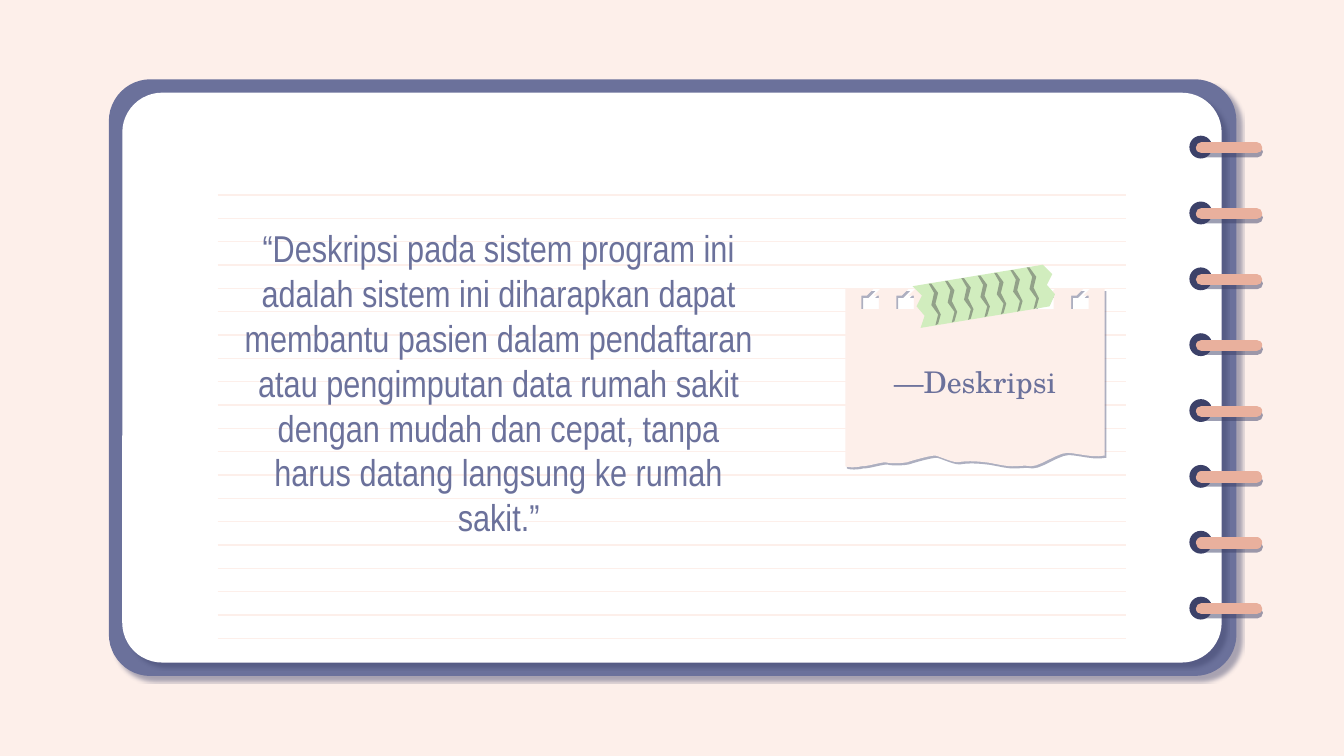
from lxml import etree
from pptx import Presentation
from pptx.dml.color import RGBColor
from pptx.enum.shapes import MSO_CONNECTOR, MSO_SHAPE
from pptx.enum.text import MSO_ANCHOR, PP_ALIGN
from pptx.oxml.ns import qn
from pptx.util import Inches, Pt

ROUND_RECT, OVAL = MSO_SHAPE.ROUNDED_RECTANGLE, MSO_SHAPE.OVAL
STRAIGHT = MSO_CONNECTOR.STRAIGHT
MIDDLE, CENTER = MSO_ANCHOR.MIDDLE, PP_ALIGN.CENTER

COLORS = {
    "blush": "FDEFEA", "cover": "6B719B", "page": "FFFFFF", "dark": "3C4169",
    "ring": "E9B09D", "tape": "D1EDBE", "stripe": "92A189", "text": "6B719B",
}
# Shadows: opacity %, blur pt, distance pt, direction in degrees
BOOK_SHADOW = (44, 1.1, 4.5, 44)
RING_SHADOW = (50, 0, 2.2, 80)
NOTE_SHADOW = (42, 0, 1.5, 54)

# Torn lower edge of the note: start, then cubic curves (control, control, end)
TEAR_START = (6.29, 3.47)
TEAR = [
    ((6.31, 3.48), (6.37, 3.48), (6.41, 3.47)),
    ((6.46, 3.47), (6.55, 3.44), (6.59, 3.44)),
    ((6.62, 3.45), (6.69, 3.45), (6.75, 3.44)),
    ((6.81, 3.42), (6.92, 3.39), (6.96, 3.39)),
    ((7.00, 3.40), (7.08, 3.44), (7.13, 3.44)),
    ((7.17, 3.43), (7.26, 3.43), (7.33, 3.44)),
    ((7.36, 3.44), (7.47, 3.47), (7.53, 3.47)),
    ((7.58, 3.47), (7.63, 3.46), (7.67, 3.47)),
    ((7.74, 3.47), (7.87, 3.37), (7.94, 3.37)),
    ((8.01, 3.37), (8.13, 3.41), (8.22, 3.39)),
]
TAPE = [(6.79, 2.13), (6.86, 2.2), (6.82, 2.28), (6.88, 2.35), (6.85, 2.44),
        (7.81, 2.28), (7.85, 2.19), (7.79, 2.12), (7.83, 2.04), (7.76, 1.97)]
STRIPE = [(6.91, 2.11), (6.95, 2.18), (6.93, 2.27), (6.98, 2.34), (6.96, 2.42),
          (6.98, 2.41), (7, 2.34), (6.96, 2.26), (6.98, 2.18), (6.93, 2.11)]


def rgb(name):
    return RGBColor.from_string(COLORS[name])


def curve_points(start, curves, steps=6):
    """Sample a chain of cubic curves as points."""
    points = [start]
    for c1, c2, end in curves:
        p0 = points[-1]
        for n in range(1, steps + 1):
            t = n / steps
            u = 1 - t
            points.append(tuple(
                u**3 * a + 3 * u * u * t * b + 3 * u * t * t * c + t**3 * d
                for a, b, c, d in zip(p0, c1, c2, end)))
    return points


class Notebook:
    def __init__(self, slide):
        self.slide = slide
        self.shapes = slide.shapes
        fill = slide.background.fill
        fill.solid()
        fill.fore_color.rgb = rgb("blush")

    def effect(self, s, shadow=None):
        effects = etree.SubElement(s._element.spPr, qn("a:effectLst"))
        if shadow:
            alpha, blur, dist, angle = shadow
            outer = etree.SubElement(
                effects, qn("a:outerShdw"), blurRad=str(Pt(blur)),
                dist=str(Pt(dist)), dir=str(angle * 60000),
                algn="bl", rotWithShape="0")
            color = etree.SubElement(outer, qn("a:srgbClr"), val=COLORS["dark"])
            etree.SubElement(color, qn("a:alpha"), val=str(alpha * 1000))

    def paint(self, s, color, shadow=None):
        s.fill.solid()
        s.fill.fore_color.rgb = rgb(color)
        s.line.fill.background()
        self.effect(s, shadow)

    def shape(self, kind, x, y, w, h, color, shadow=None, radius=None):
        s = self.shapes.add_shape(kind, Inches(x), Inches(y), Inches(w), Inches(h))
        if radius is not None:
            s.adjustments[0] = radius
        self.paint(s, color, shadow)

    def line(self, x1, x2, y, color, width, shadow=None, cap="flat"):
        s = self.shapes.add_connector(
            STRAIGHT, Inches(x1), Inches(y), Inches(x2), Inches(y))
        s.line.color.rgb = rgb(color)
        s.line.width = Pt(width)
        s.line._ln.set("cap", cap)
        self.effect(s, shadow)

    def outline(self, points, color, shadow=None):
        points = [(Inches(x), Inches(y)) for x, y in points]
        builder = self.shapes.build_freeform(*points[0])
        builder.add_line_segments(points[1:], close=True)
        self.paint(builder.convert_to_shape(), color, shadow)

    def text(self, x, y, w, h, words, font, size):
        s = self.shapes.add_textbox(Inches(x), Inches(y), Inches(w), Inches(h))
        tf = s.text_frame
        tf.word_wrap = True
        tf.vertical_anchor = MIDDLE
        tf.margin_left = tf.margin_right = Inches(0.1)
        tf.margin_top = tf.margin_bottom = Inches(0.1)
        p = tf.paragraphs[0]
        p.alignment = CENTER
        r = p.add_run()
        r.text = words
        r.font.name = font
        r.font.size = Pt(size)
        r.font.color.rgb = rgb("text")


def main():
    prs = Presentation()
    prs.slide_width = Inches(10)
    prs.slide_height = Inches(10 * 9 / 16)
    book = Notebook(prs.slides.add_slide(prs.slide_layouts[6]))

    # Cover and page
    book.shape(ROUND_RECT, 0.81, 0.59, 8.39, 4.44, "cover", BOOK_SHADOW, 0.07)
    book.shape(ROUND_RECT, 0.91, 0.69, 8.18, 4.24, "page", BOOK_SHADOW, 0.07)

    # Ruled lines
    for i in range(20):
        book.line(1.62, 8.38, 1.45 + i * 3.3 / 19, "blush", 0.75)

    # Binding rings
    for i in range(8):
        y = 1.01 + 0.49 * i
        book.shape(OVAL, 8.85, y, 0.17, 0.17, "dark")
        book.line(9.35, 8.94, y + 0.09, "ring", 6, RING_SHADOW, "rnd")

    # Torn note with punched holes
    note = [(6.29, 2.15)] + curve_points(TEAR_START, TEAR) + [(8.22, 2.15)]
    for i in range(7):
        x = 8.06 - 0.26 * i
        note += [(x + 0.05, 2.15), (x, 2.2), (x + 0.04, 2.2), (x + 0.04, 2.3),
                 (x - 0.09, 2.3), (x - 0.09, 2.2), (x - 0.05, 2.2), (x, 2.15)]
    book.outline(note, "blush", NOTE_SHADOW)

    # Title and description
    book.text(6.27, 2.57, 1.97, 0.54, "—Deskripsi", "TeX Gyre Schola", 16)
    book.text(1.7, 1.65, 4.02, 2.39,
              "“Deskripsi pada sistem program ini adalah sistem ini diharapkan "
              "dapat membantu pasien dalam pendaftaran atau pengimputan data "
              "rumah sakit dengan mudah dan cepat, tanpa harus datang langsung "
              "ke rumah sakit.”", "Arial Narrow", 20)

    # Striped tape
    book.outline(TAPE, "tape")
    for i in range(7):
        book.outline([(x + 0.73 * i / 6, y - 0.02 * i) for x, y in STRIPE], "stripe")

    prs.save("out.pptx")


if __name__ == "__main__":
    main()
